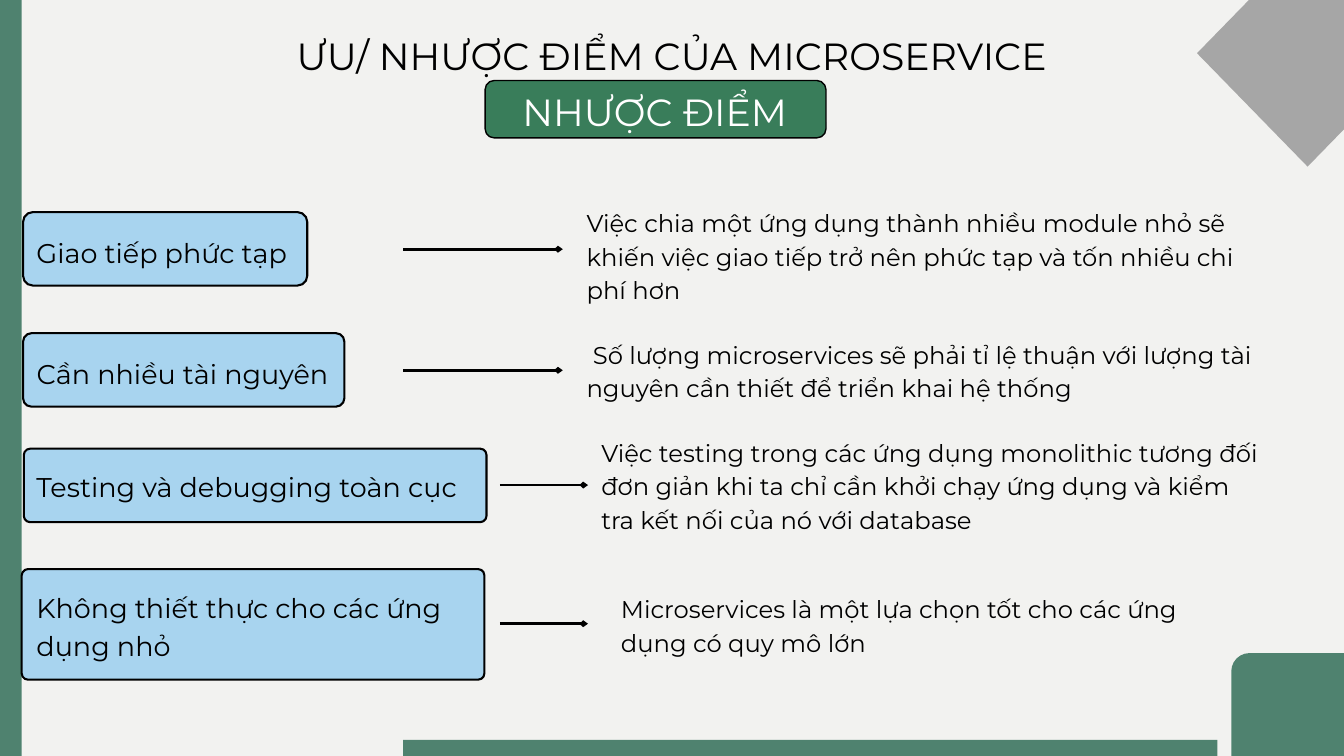
from dataclasses import dataclass

from lxml import etree
from pptx import Presentation
from pptx import util as u
from pptx.dml.color import RGBColor
from pptx.enum import shapes, text
from pptx.oxml import ns

PX = 9525


@dataclass(frozen=True)
class Theme:
    font: str = "Montserrat"
    background: str = "F2F2F0"
    accent: str = "4F826F"
    diamond: str = "A6A6A6"
    badge: str = "397D5A"
    card: str = "A8D4EF"
    ink: str = "000000"
    light: str = "FFFFFF"
    heading: tuple = (40.5, 56.3)
    label: tuple = (29, 40.3)
    detail: tuple = (26, 36.1)
    badge_border: float = 1.5
    card_border: float = 2.25
    arrow: float = 3


THEME = Theme()
SHAPE = shapes.MSO_SHAPE
ALIGN = text.PP_ALIGN

DRAWBACKS = [
    {
        "card": (33, 303, 406, 105), "radius": 14,
        "label": "Giao tiếp phức tạp",
        "label_box": (52, 330, 369, 51), "align": ALIGN.LEFT,
        "arrow": (576, 804, 356),
        "detail": "Việc chia một ứng dụng thành nhiều module nhỏ sẽ khiến việc "
                  "giao tiếp trở nên phức tạp và tốn nhiều chi phí hơn",
        "detail_box": (838, 291, 973, 142),
    },
    {
        "card": (33, 476, 459, 105), "radius": 12,
        "label": "Cần nhiều tài nguyên",
        "label_box": (31, 503, 460, 51), "align": ALIGN.CENTER,
        "arrow": (576, 804, 529),
        "detail": " Số lượng microservices sẽ phải tỉ lệ thuận với lượng tài "
                  "nguyên cần thiết để triển khai hệ thống",
        "detail_box": (838, 479, 973, 94),
    },
    {
        "card": (34, 641, 661, 105), "radius": 9,
        "label": "Testing và debugging toàn cục",
        "label_box": (52, 665, 662, 51), "align": ALIGN.LEFT,
        "arrow": (714, 840, 693),
        "detail": "Việc testing trong các ứng dụng monolithic tương đối đơn giản "
                  "khi ta chỉ cần khởi chạy ứng dụng và kiểm tra kết nối của nó "
                  "với database",
        "detail_box": (859, 619, 952, 142),
    },
    {
        "card": (31, 813, 661, 158), "radius": 9,
        "label": "Không thiết thực cho các ứng dụng nhỏ",
        "label_box": (52, 838, 678, 104), "align": ALIGN.LEFT,
        "arrow": (714, 840, 891),
        "detail": "Microservices là một lựa chọn tốt cho các ứng dụng có quy mô lớn",
        "detail_box": (887, 843, 898, 94),
    },
]


def emu(*lengths):
    return [u.Emu(length * PX) for length in lengths]


def color(value):
    return RGBColor.from_string(value)


def add_block(slide, kind, box, fill, radius=0, border=0):
    block = slide.shapes.add_shape(kind, *emu(*box))
    block.shadow.inherit = False
    block.fill.solid()
    block.fill.fore_color.rgb = color(fill)
    if radius:
        block.adjustments[0] = radius / min(box[2:])
    if border:
        block.line.color.rgb = color(THEME.ink)
        block.line.width = u.Pt(border)
    else:
        block.line.fill.background()


def add_words(slide, words, box, style, align=ALIGN.LEFT, ink=THEME.ink):
    size, leading = style
    frame = slide.shapes.add_textbox(*emu(*box)).text_frame
    frame.word_wrap = True
    frame.auto_size = text.MSO_AUTO_SIZE.SHAPE_TO_FIT_TEXT
    frame.margin_left = frame.margin_right = 0
    frame.margin_top = frame.margin_bottom = 0
    frame.text = words
    paragraph = frame.paragraphs[0]
    paragraph.alignment = align
    paragraph.line_spacing = u.Pt(leading)
    font = paragraph.runs[0].font
    font.name = THEME.font
    font.size = u.Pt(size)
    font.color.rgb = color(ink)


def add_arrow(slide, start, end, y):
    arrow = slide.shapes.add_connector(
        shapes.MSO_CONNECTOR.STRAIGHT, *emu(start, y, end, y))
    arrow.line.color.rgb = color(THEME.ink)
    arrow.line.width = u.Pt(THEME.arrow)
    etree.SubElement(arrow.line._get_or_add_ln(), ns.qn("a:tailEnd"),
                     type="arrow", w="sm", len="sm")
    etree.SubElement(arrow._element.spPr, ns.qn("a:effectLst"))


def add_decoration(slide):
    add_block(slide, SHAPE.ROUNDED_RECTANGLE, (1759, 933, 648, 247),
              THEME.accent, radius=26)
    add_block(slide, SHAPE.DIAMOND, (1710, -86, 316, 324), THEME.diamond)
    add_block(slide, SHAPE.RECTANGLE, (576, 1057, 1163, 46), THEME.accent)
    add_block(slide, SHAPE.RECTANGLE, (-31, -64, 62, 1144), THEME.accent)


def add_heading(slide):
    add_block(slide, SHAPE.ROUNDED_RECTANGLE, (693, 115, 487, 82),
              THEME.badge, radius=13, border=THEME.badge_border)
    add_words(slide, "ƯU/ NHƯỢC ĐIỂM CỦA MICROSERVICE", (365, 36, 1190, 72),
              THEME.heading, ALIGN.CENTER)
    add_words(slide, "NHƯỢC ĐIỂM", (744, 116, 383, 72),
              THEME.heading, ALIGN.CENTER, THEME.light)


def add_drawback(slide, drawback):
    add_block(slide, SHAPE.ROUNDED_RECTANGLE, drawback["card"], THEME.card,
              drawback["radius"], THEME.card_border)
    add_words(slide, drawback["label"], drawback["label_box"],
              THEME.label, drawback["align"])
    add_words(slide, drawback["detail"], drawback["detail_box"], THEME.detail)
    add_arrow(slide, *drawback["arrow"])


def main():
    deck = Presentation()
    deck.slide_width, deck.slide_height = emu(1920, 1080)
    slide = deck.slides.add_slide(deck.slide_layouts[6])
    slide.background.fill.solid()
    slide.background.fill.fore_color.rgb = color(THEME.background)
    add_decoration(slide)
    add_heading(slide)
    for drawback in DRAWBACKS:
        add_drawback(slide, drawback)
    deck.save("out.pptx")


if __name__ == "__main__":
    main()
